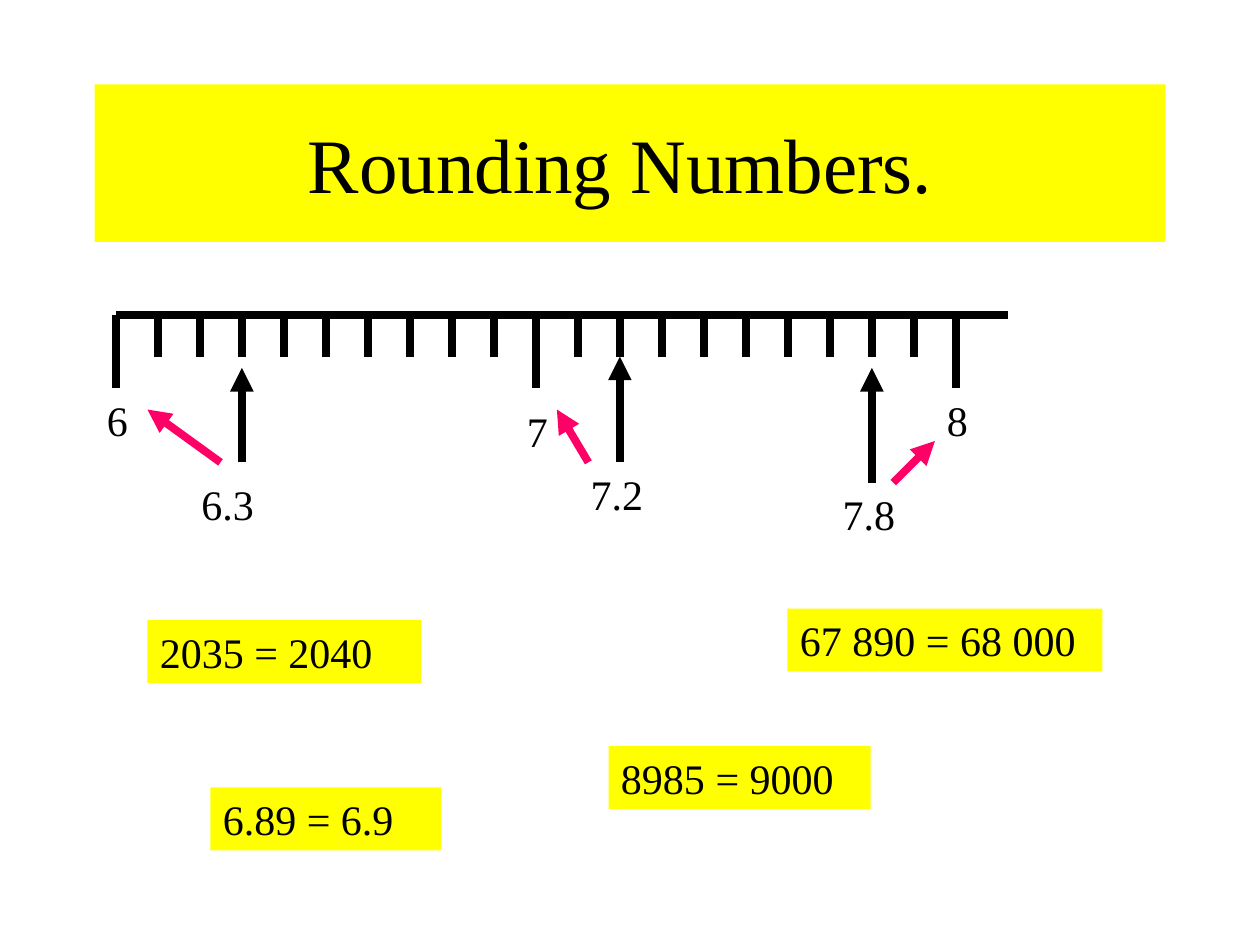
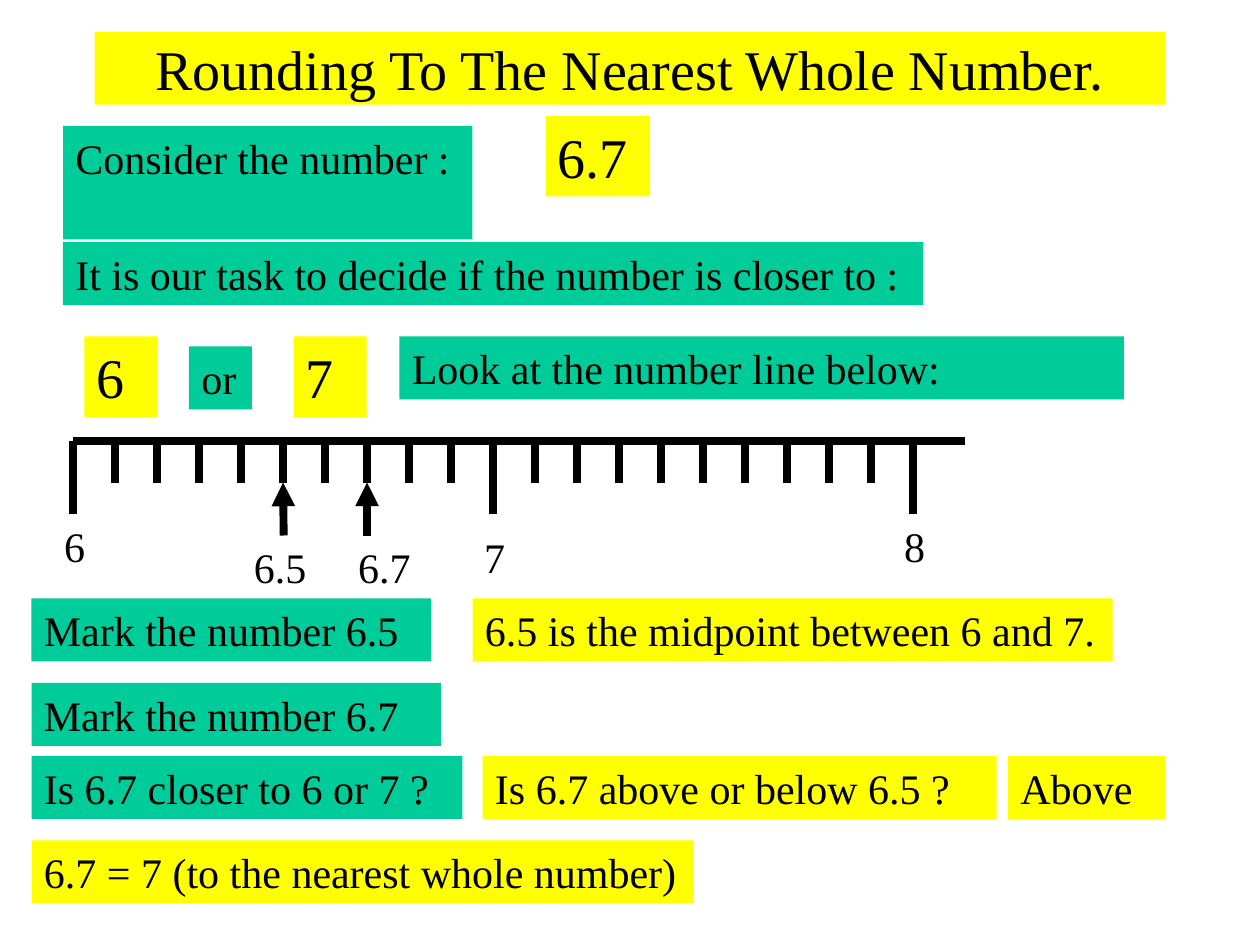
from dataclasses import dataclass

import pptx
import pptx.dml.color
import pptx.enum.shapes
import pptx.enum.text
import pptx.oxml.ns
import pptx.util
from lxml import etree

Inches = pptx.util.Inches
RGBColor = pptx.dml.color.RGBColor
Align = pptx.enum.text.PP_ALIGN
Anchor = pptx.enum.text.MSO_ANCHOR


@dataclass(frozen=True)
class Theme:
    font: str = "Times New Roman"
    ink: RGBColor = RGBColor(0x00, 0x00, 0x00)
    yellow: RGBColor = RGBColor(0xFF, 0xFF, 0x00)
    green: RGBColor = RGBColor(0x00, 0xCC, 0x99)
    pink: RGBColor = RGBColor(0xFF, 0x00, 0x66)
    title_size: int = 44
    large_size: int = 32
    text_size: int = 24
    line_width: float = 4.5


THEME = Theme()
UNIT = 10 / 3
AXIS_LENGTH = 7.08
FIRST_NUMBER, LAST_NUMBER = 6, 8
LONG_TICK, SHORT_TICK = 0.58, 0.33


def write_text(shape, text, size, align=Align.LEFT, anchor=Anchor.TOP):
    frame = shape.text_frame
    frame.word_wrap = True
    frame.auto_size = pptx.enum.text.MSO_AUTO_SIZE.NONE
    frame.vertical_anchor = anchor
    frame.text = text
    paragraph = frame.paragraphs[0]
    paragraph.alignment = align
    paragraph.font.name = THEME.font
    paragraph.font.size = pptx.util.Pt(size)
    paragraph.font.color.rgb = THEME.ink


def add_title(slide, text, top, height, size):
    title = slide.shapes.title
    title.left, title.top = Inches(0.75), Inches(top)
    title.width, title.height = Inches(8.5), Inches(height)
    title.fill.solid()
    title.fill.fore_color.rgb = THEME.yellow
    write_text(title, text, size, Align.CENTER, Anchor.MIDDLE)


def add_panel(slide, text, left, top, width, fill, height=0.5, size=THEME.text_size):
    panel = slide.shapes.add_shape(
        pptx.enum.shapes.MSO_SHAPE.RECTANGLE,
        Inches(left), Inches(top), Inches(width), Inches(height))
    panel.shadow.inherit = False
    panel.fill.solid()
    panel.fill.fore_color.rgb = fill
    panel.line.fill.background()
    write_text(panel, text, size)


def add_label(group, text, left, top, width):
    label = group.shapes.add_textbox(
        Inches(left), Inches(top), Inches(width), Inches(0.5))
    write_text(label, text, THEME.text_size)
    return label


def add_line(group, start, end, color=THEME.ink, arrow=False):
    line = group.shapes.add_connector(
        pptx.enum.shapes.MSO_CONNECTOR.STRAIGHT,
        *(Inches(value) for value in (*start, *end)))
    line.line.color.rgb = color
    line.line.width = pptx.util.Pt(THEME.line_width)
    if arrow:
        outline = line.line._get_or_add_ln()
        etree.SubElement(outline, pptx.oxml.ns.qn("a:tailEnd"), type="triangle")
    etree.SubElement(line._element.spPr, pptx.oxml.ns.qn("a:effectLst"))
    return line


def add_number_line(slide, left, top):
    group = slide.shapes.add_group_shape()
    add_line(group, (left, top), (left + AXIS_LENGTH, top))
    for tick in range((LAST_NUMBER - FIRST_NUMBER) * 10 + 1):
        x = left + tick * UNIT / 10
        length = SHORT_TICK if tick % 10 else LONG_TICK
        add_line(group, (x, top), (x, top + length))
    for number, drop, width in ((6, 0.58, 0.58), (7, 0.67, 0.67), (8, 0.58, 0.58)):
        x = left + (number - FIRST_NUMBER) * UNIT
        add_label(group, str(number), x - 0.17, top + drop, width)
    return group


def add_marker(group, left, top, value, tip, base, label_shift, label_drop, label_width):
    x = left + (value - FIRST_NUMBER) * UNIT
    label = add_label(group, str(value), x + label_shift, top + label_drop, label_width)
    arrow = add_line(group, (x, top + base), (x, top + tip), arrow=True)
    if base == label_drop and abs(label_shift + label_width / 2) < 0.01:
        arrow.begin_connect(label, 0)


def build_introduction(presentation):
    slide = presentation.slides.add_slide(presentation.slide_layouts[5])
    add_title(slide, "Rounding Numbers. ", 0.67, 1.25, THEME.title_size)

    left, top = 0.92, 2.5
    group = add_number_line(slide, left, top)
    markers = (
        (6.3, 0.42, 1.17, -0.42, 1.25, 0.92),
        (7.2, 0.33, 1.17, -0.33, 1.17, 1),
        (7.8, 0.42, 1.33, -0.33, 1.33, 1),
    )
    for marker in markers:
        add_marker(group, left, top, *marker)
    rounding_arrows = (
        ((0.83, 1.17), (0.25, 0.75)),
        ((3.75, 1.17), (3.5, 0.75)),
        ((6.17, 1.33), (6.5, 1)),
    )
    for (start_x, start_y), (end_x, end_y) in rounding_arrows:
        add_line(group, (left + start_x, top + start_y),
                 (left + end_x, top + end_y), THEME.pink, arrow=True)

    examples = (
        ("2035 = 2040", 1.17, 4.92, 2.17),
        ("8985 = 9000", 4.83, 5.92, 2.08),
        ("6.89 = 6.9", 1.67, 6.25, 1.83),
        ("67 890 = 68 000", 6.25, 4.83, 2.5),
    )
    for example in examples:
        add_panel(slide, *example, THEME.yellow)


def build_whole_number(presentation):
    slide = presentation.slides.add_slide(presentation.slide_layouts[5])
    add_title(slide, "Rounding To The Nearest Whole Number.", 0.25, 0.58, THEME.large_size)

    add_panel(slide, "Consider the number :", 0.5, 1, 3.25, THEME.green, height=0.9)
    for number, x, y, width in (("6.7", 4.33, 0.92, 0.83),
                                ("6", 0.67, 2.67, 0.58),
                                ("7", 2.33, 2.67, 0.58)):
        add_panel(slide, number, x, y, width, THEME.yellow, 0.64, THEME.large_size)

    left, top = 0.58, 3.5
    group = add_number_line(slide, left, top)
    for value, label_shift in ((6.5, -0.33), (6.7, -0.17)):
        add_marker(group, left, top, value, SHORT_TICK, 0.75, label_shift, 0.75, 0.67)

    panels = (
        ("It is our task to decide if the number is closer to :", 0.5, 1.92, 6.83, THEME.green),
        ("or", 1.5, 2.75, 0.5, THEME.green),
        ("Look at the number line below:", 3.17, 2.67, 5.75, THEME.green),
        ("Mark the number 6.5", 0.25, 4.75, 3.17, THEME.green),
        ("6.5 is the midpoint between 6 and 7.", 3.75, 4.75, 5.08, THEME.yellow),
        ("Mark the number 6.7", 0.25, 5.42, 3.25, THEME.green),
        ("Is 6.7 closer to 6 or 7 ?", 0.25, 6, 3.42, THEME.green),
        ("Is 6.7 above or below 6.5 ?", 3.83, 6, 4.08, THEME.yellow),
        ("Above", 8, 6, 1.25, THEME.yellow),
        ("6.7 = 7 (to the nearest whole number)", 0.25, 6.67, 5.25, THEME.yellow),
    )
    for panel in panels:
        add_panel(slide, *panel)


def main():
    presentation = pptx.Presentation()
    presentation.slide_width, presentation.slide_height = Inches(10), Inches(7.5)
    build_introduction(presentation)
    build_whole_number(presentation)
    presentation.save("out.pptx")


if __name__ == "__main__":
    main()
